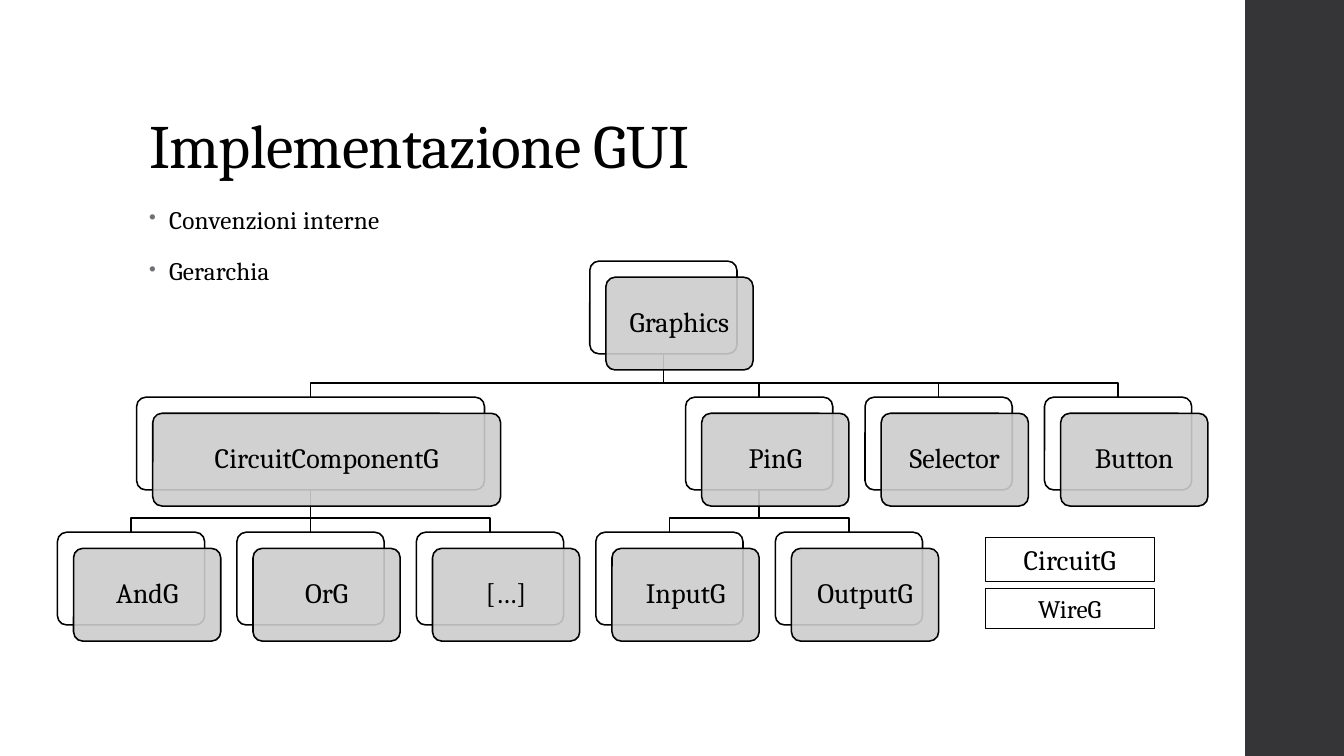
from pptx import Presentation
from pptx.dml.color import RGBColor
from pptx.enum.shapes import MSO_CONNECTOR, MSO_SHAPE
from pptx.enum.text import MSO_ANCHOR, PP_ALIGN
from pptx.oxml.ns import qn
from pptx.util import Inches, Pt
from lxml import etree

RECT, ROUND = MSO_SHAPE.RECTANGLE, MSO_SHAPE.ROUNDED_RECTANGLE
STRAIGHT = MSO_CONNECTOR.STRAIGHT
MIDDLE, BOTTOM = MSO_ANCHOR.MIDDLE, MSO_ANCHOR.BOTTOM
CENTER = PP_ALIGN.CENTER
BLACK, WHITE, GREY, DARK = "000000", "FFFFFF", "CCCCCC", "353537"


def paint(shape, fill, line=None, width=1.1):
    shape.shadow.inherit = False
    if fill:
        shape.fill.solid()
        shape.fill.fore_color.rgb = RGBColor.from_string(fill)
    else:
        shape.fill.background()
    if line:
        shape.line.color.rgb = RGBColor.from_string(line)
        shape.line.width = Pt(width)
    else:
        shape.line.fill.background()


def style(par, size, space=None, track=None):
    par.line_spacing = space
    for run in par.runs:
        run.font.name = "Cambria"
        run.font.size = Pt(size)
        run.font.color.rgb = RGBColor.from_string(BLACK)
        if track:
            run.font._element.set("spc", str(track))


deck = Presentation()
deck.slide_width, deck.slide_height = Inches(13.33), Inches(7.5)
slide = deck.slides.add_slide(deck.slide_layouts[6])
shapes = slide.shapes

# Side band
band = shapes.add_shape(RECT, Inches(12.35), 0, Inches(1), Inches(7.5))
paint(band, DARK)

# Title
title = shapes.add_textbox(Inches(1.38), Inches(0.4), Inches(10.6), Inches(1.45))
frame = title.text_frame
frame.word_wrap = True
frame.vertical_anchor = BOTTOM
frame.text = "Implementazione GUI"
style(frame.paragraphs[0], 44, 0.9, -50)

# Bullets
body = shapes.add_textbox(Inches(1.38), Inches(2), Inches(9.4), Inches(4.76))
frame = body.text_frame
frame.word_wrap = True
frame.text = "Convenzioni interne\nGerarchia"
for par in frame.paragraphs:
    style(par, 18, 0.95, 10)
    par.space_before, par.space_after = Pt(14), Pt(2)
    props = par._p.get_or_add_pPr()
    props.set("marL", str(Inches(0.2)))
    props.set("indent", str(-Inches(0.2)))
    color = etree.SubElement(props, qn("a:buClr"))
    etree.SubElement(color, qn("a:srgbClr"), val="6F6F74")
    etree.SubElement(props, qn("a:buSzPct"), val="80000")
    etree.SubElement(props, qn("a:buChar"), char="•")

# Class tree: name, centre of the back box, level, width, parent
STEP, TALL, WIDE, SHIFT = 1.78, 0.92, 1.46, 0.16
TOPS = [2.59, 3.94, 5.28]
LEFT = 1.3
nodes = [("Graphics", 6.58, 0, WIDE, None),
         ("CircuitComponentG", LEFT + STEP, 1, 3.45, "Graphics")]
leaves = [("AndG", "CircuitComponentG"), ("OrG", "CircuitComponentG"),
          ("[…]", "CircuitComponentG"), ("InputG", "PinG"), ("OutputG", "PinG")]
for i, name in enumerate(["PinG", "Selector", "Button"]):
    nodes.append((name, LEFT + (3.5 + i) * STEP, 1, WIDE, "Graphics"))
for i, (name, parent) in enumerate(leaves):
    nodes.append((name, LEFT + i * STEP, 2, WIDE, parent))
mids = {node[0]: node[1] for node in nodes}

# Links
for name, mid, level, wide, parent in nodes:
    if not parent:
        continue
    start = mids[parent]
    top, end = TOPS[level - 1] + TALL, TOPS[level]
    bend = end - 0.14
    if start == mid:
        link = shapes.add_connector(STRAIGHT, Inches(mid), Inches(top),
                                    Inches(mid), Inches(end))
        link.line.color.rgb = RGBColor.from_string(BLACK)
        link.line.width = Pt(1.1)
        etree.SubElement(link._element.spPr, qn("a:effectLst"))
    else:
        pen = shapes.build_freeform(Inches(start), Inches(top))
        pen.add_line_segments([(Inches(x), Inches(y)) for x, y in
                               [(start, bend), (mid, bend), (mid, end)]], close=False)
        paint(pen.convert_to_shape(), None, BLACK)

# Boxes: white behind, grey in front
for name, mid, level, wide, parent in nodes:
    for move, fill in [(0, WHITE), (SHIFT, GREY)]:
        box = shapes.add_shape(ROUND, Inches(mid - wide / 2 + move),
                               Inches(TOPS[level] + move), Inches(wide), Inches(TALL))
        box.adjustments[0] = 0.1
        paint(box, fill, BLACK)
    tint = box._element.spPr.find(qn("a:solidFill"))[0]
    etree.SubElement(tint, qn("a:alpha"), val="90000")
    frame = box.text_frame
    frame.margin_left = frame.margin_right = Inches(0.1)
    frame.vertical_anchor = MIDDLE
    frame.text = name
    frame.paragraphs[0].alignment = CENTER
    style(frame.paragraphs[0], 20, 0.9)

# Separate classes
for name, top, tall, size in [("CircuitG", 5.33, 0.44, 20), ("WireG", 5.84, 0.4, 18)]:
    box = shapes.add_shape(RECT, Inches(9.77), Inches(top), Inches(1.68), Inches(tall))
    paint(box, None, BLACK, 0.75)
    box.text_frame.text = name
    box.text_frame.paragraphs[0].alignment = CENTER
    style(box.text_frame.paragraphs[0], size)

deck.save("out.pptx")
